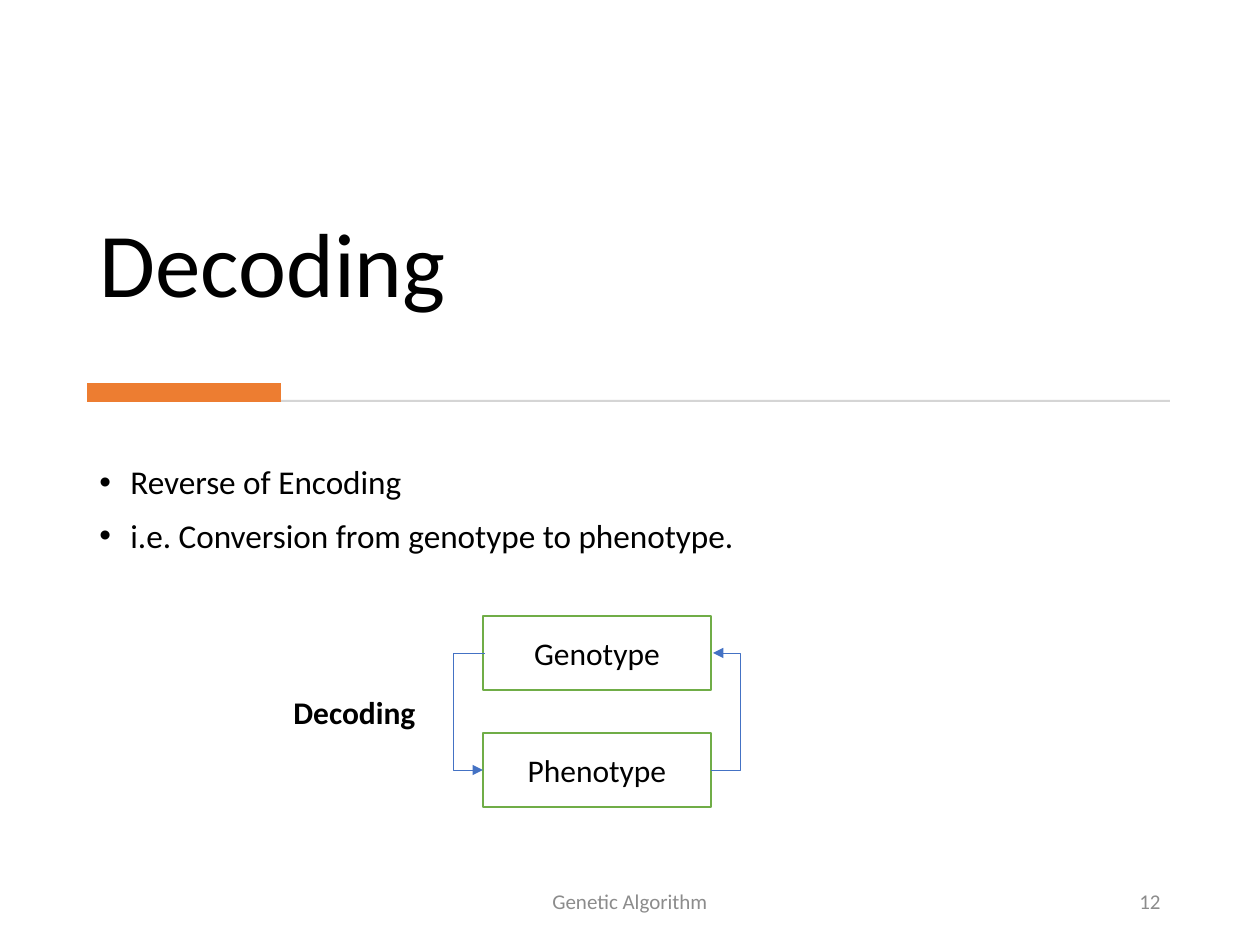
from dataclasses import dataclass
from typing import NamedTuple

from lxml import etree
from pptx import Presentation
from pptx.dml.color import RGBColor
from pptx.enum.shapes import MSO_CONNECTOR, MSO_SHAPE
from pptx.enum.text import MSO_ANCHOR, PP_ALIGN
from pptx.oxml.ns import qn
from pptx.util import Emu, Pt

RECT = MSO_SHAPE.RECTANGLE
ELBOW = MSO_CONNECTOR.ELBOW
TOP, MIDDLE, BOTTOM = MSO_ANCHOR.TOP, MSO_ANCHOR.MIDDLE, MSO_ANCHOR.BOTTOM
LEFT, CENTER, RIGHT = PP_ALIGN.LEFT, PP_ALIGN.CENTER, PP_ALIGN.RIGHT
SCALE = 914400 / 126


@dataclass(frozen=True)
class Theme:
    font: str = "Calibri"
    ink: str = "000000"
    paper: str = "FFFFFF"
    muted: str = "8C8C8C"
    rule: str = "D5D5D5"
    accent: str = "ED7D31"
    edge: str = "70AD47"
    arrow: str = "4472C4"
    title: int = 52
    body: int = 19
    label: int = 18
    foot: int = 12


class Area(NamedTuple):
    x: int
    y: int
    w: int
    h: int


class Label(NamedTuple):
    text: str
    area: Area
    size: int
    color: str
    align: PP_ALIGN = LEFT
    anchor: MSO_ANCHOR = TOP
    bold: bool = False


class Route(NamedTuple):
    x: int
    y: int
    end_x: int
    end_y: int
    bend_x: int


THEME = Theme()


def px(n: int) -> Emu:
    return Emu(round(n * SCALE))


def rgb(code: str) -> RGBColor:
    return RGBColor.from_string(code)


def place(area: Area) -> list[Emu]:
    return [px(n) for n in area]


def write(frame, label: Label) -> None:
    frame.word_wrap = True
    frame.vertical_anchor = label.anchor
    frame.text = label.text
    for para in frame.paragraphs:
        para.alignment = label.align
        for run in para.runs:
            font = run.font
            font.name, font.size = THEME.font, Pt(label.size)
            font.bold, font.color.rgb = label.bold, rgb(label.color)


def add_text(slide, label: Label):
    frame = slide.shapes.add_textbox(*place(label.area)).text_frame
    write(frame, label)
    return frame


def add_rect(slide, area: Area, fill: str, edge: str | None = None):
    shape = slide.shapes.add_shape(RECT, *place(area))
    shape.shadow.inherit = False
    shape.fill.solid()
    shape.fill.fore_color.rgb = rgb(fill)
    if edge:
        shape.line.color.rgb = rgb(edge)
        shape.line.width = Pt(1)
    else:
        shape.line.fill.background()
    return shape


def add_bullets(frame, indent: int) -> None:
    for i, para in enumerate(frame.paragraphs):
        props = para._p.get_or_add_pPr()
        props.set("marL", str(px(indent)))
        props.set("indent", str(-px(indent)))
        etree.SubElement(props, qn("a:buFont"), typeface="Arial")
        etree.SubElement(props, qn("a:buChar"), char="•")
        para.line_spacing = 0.9
        para.space_before = Pt(10 if i else 0)


def add_arrow(slide, route: Route) -> None:
    x, y, end_x, end_y, bend_x = route
    line = slide.shapes.add_connector(ELBOW, px(x), px(y), px(end_x), px(end_y))
    line.line.color.rgb = rgb(THEME.arrow)
    line.line.width = Pt(0.5)
    props = line._element.spPr
    etree.SubElement(props.find(qn("a:ln")), qn("a:tailEnd"), type="triangle")
    etree.SubElement(props, qn("a:effectLst"))
    # The bend lies outside the ends, as a share of their distance
    bend = round(100000 * (bend_x - x) / (end_x - x))
    guides = props.find(qn("a:prstGeom")).get_or_add_avLst()
    etree.SubElement(guides, qn("a:gd"), name="adj1", fmla=f"val {bend}")


def main() -> None:
    deck = Presentation()
    deck.slide_width, deck.slide_height = px(1260), px(945)
    slide = deck.slides.add_slide(deck.slide_layouts[5])

    # Title
    head = Label("Decoding", Area(87, 59, 1086, 265), THEME.title, THEME.ink,
                 anchor=BOTTOM)
    title = slide.shapes.title
    title.left, title.top, title.width, title.height = place(head.area)
    write(title.text_frame, head)
    title.text_frame.paragraphs[0].line_spacing = 0.9

    # Rule with accent bar
    add_rect(slide, Area(90, 400, 1080, 2), THEME.rule)
    add_rect(slide, Area(87, 383, 194, 19), THEME.accent)

    # Bullets
    points = "Reverse of Encoding\ni.e. Conversion from genotype to phenotype."
    body = Label(points, Area(87, 460, 1086, 401), THEME.body, THEME.ink)
    add_bullets(add_text(slide, body), 31)

    # Footer
    for text, x, w, align in (("Genetic Algorithm", 417, 426, CENTER),
                              ("12", 889, 284, RIGHT)):
        add_text(slide, Label(text, Area(x, 876, w, 50), THEME.foot,
                              THEME.muted, align, MIDDLE))

    # Genotype and phenotype boxes
    left, top, width, height, pitch = 483, 616, 228, 74, 117
    for i, text in enumerate(("Genotype", "Phenotype")):
        area = Area(left, top + i * pitch, width, height)
        box = add_rect(slide, area, THEME.paper, THEME.edge)
        write(box.text_frame, Label(text, area, THEME.label, THEME.ink,
                                    CENTER, MIDDLE))

    # Arrows down the left side and up the right side
    high, right, gap = top + height // 2, left + width, 30
    low = high + pitch
    add_arrow(slide, Route(left + 2, high, left, low, left - gap))
    add_arrow(slide, Route(right, low, right + 2, high, right + gap))
    add_text(slide, Label("Decoding", Area(281, 687, 178, 50), THEME.label,
                          THEME.ink, bold=True))

    deck.save("out.pptx")


if __name__ == "__main__":
    main()
